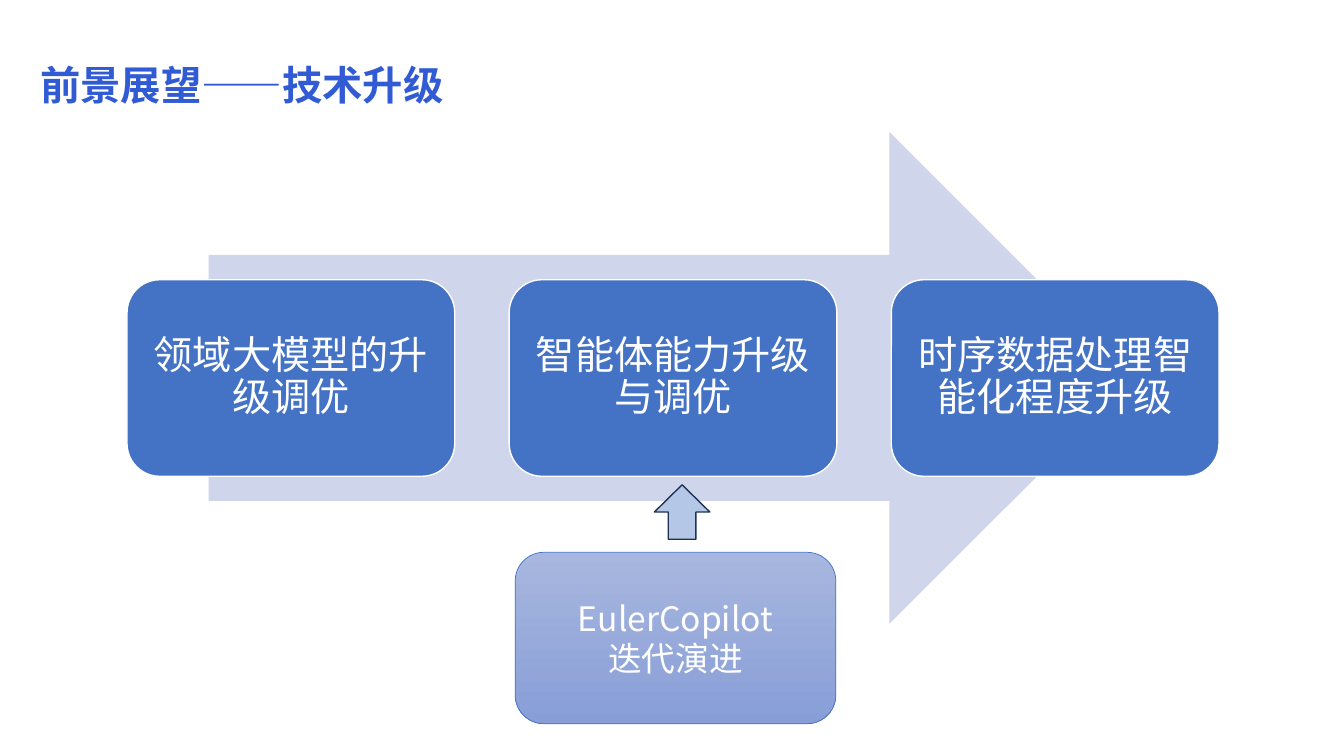
"""Build the technology upgrade outlook slide."""
import pptx
import pptx.util
import pptx.dml.color
import pptx.enum.shapes
import pptx.enum.text
import pptx.oxml.ns
import lxml.etree

SHAPE = pptx.enum.shapes.MSO_SHAPE
ALIGN = pptx.enum.text.PP_ALIGN
MIDDLE = pptx.enum.text.MSO_ANCHOR.MIDDLE
Inches, Pt = pptx.util.Inches, pptx.util.Pt

TITLE = "前景展望——技术升级"
UPGRADES = ["领域大模型的升级调优", "智能体能力升级与调优", "时序数据处理智能化程度升级"]
SUPPORT = ["EulerCopilot", "迭代演进"]
TITLE_FONT, BODY_FONT = "Noto Sans CJK SC", "Noto Sans CJK JP"
WHITE, BLUE = "FFFFFF", "4472C4"

SLIDE_W, SLIDE_H = 13.33, 7.5
ARROW_W, ARROW_H, ARROW_TOP = 9.19, 4.88, 1.31
CARD_W, CARD_H, CARD_GAP = 3.25, 1.95, 0.54
CARD_LEFT = 1.26
CARD_TOP = ARROW_TOP + (ARROW_H - CARD_H) / 2


def rgb(color):
    return pptx.dml.color.RGBColor.from_string(color)


def add_block(slide, kind, box, fill, line=None, line_pt=1):
    sp = slide.shapes.add_shape(kind, *[Inches(v) for v in box])
    sp.shadow.inherit = False
    if isinstance(fill, str):
        sp.fill.solid()
        sp.fill.fore_color.rgb = rgb(fill)
    else:
        sp.fill.gradient()
        sp.fill.gradient_angle = 270
        for stop, color in zip(sp.fill.gradient_stops, fill):
            stop.color.rgb = rgb(color)
    if line:
        sp.line.color.rgb = rgb(line)
        sp.line.width = Pt(line_pt)
    else:
        sp.line.fill.background()
    return sp


def write(sp, lines, size, font, color, align, spacing=1.0, bold=False):
    tf = sp.text_frame
    tf.word_wrap = True
    tf.auto_size = pptx.enum.text.MSO_AUTO_SIZE.NONE
    tf.vertical_anchor = MIDDLE
    for i, line in enumerate(lines):
        p = tf.add_paragraph() if i else tf.paragraphs[0]
        p.alignment = align
        p.line_spacing = spacing
        r = p.add_run()
        r.text = line
        r.font.size = Pt(size)
        r.font.bold = bold
        r.font.color.rgb = rgb(color)
        r.font.name = font
        ea = lxml.etree.SubElement(r.font._element, pptx.oxml.ns.qn("a:ea"))
        ea.set("typeface", font)


def main():
    prs = pptx.Presentation()
    prs.slide_width, prs.slide_height = Inches(SLIDE_W), Inches(SLIDE_H)
    slide = prs.slides.add_slide(prs.slide_layouts[5])

    title = slide.shapes.title
    title.left, title.top = Inches(0.3), Inches(0.71)
    title.width, title.height = Inches(11.98), Inches(0.32)
    write(title, [TITLE], 28.8, TITLE_FONT, "305BD4", ALIGN.LEFT, 0.9, True)

    add_block(slide, SHAPE.RIGHT_ARROW,
              ((SLIDE_W - ARROW_W) / 2, ARROW_TOP, ARROW_W, ARROW_H), "CFD5EA")

    for i, upgrade in enumerate(UPGRADES):
        left = CARD_LEFT + i * (CARD_W + CARD_GAP)
        card = add_block(slide, SHAPE.ROUNDED_RECTANGLE,
                         (left, CARD_TOP, CARD_W, CARD_H), BLUE, WHITE)
        tf = card.text_frame
        tf.margin_left = tf.margin_right = Inches(0.12)
        tf.margin_top = tf.margin_bottom = Inches(0.12)
        write(card, [upgrade], 28, BODY_FONT, WHITE, ALIGN.CENTER, 0.9)

    support = add_block(slide, SHAPE.ROUNDED_RECTANGLE, (5.11, 5.48, 3.18, 1.7),
                        ("A8B7DF", "889ED7"), BLUE, 0.5)
    write(support, SUPPORT, 24, BODY_FONT, WHITE, ALIGN.CENTER)

    add_block(slide, SHAPE.UP_ARROW, (6.49, 4.81, 0.55, 0.54), "B4C7E7", "1E3256")
    prs.save("out.pptx")


if __name__ == "__main__":
    main()
